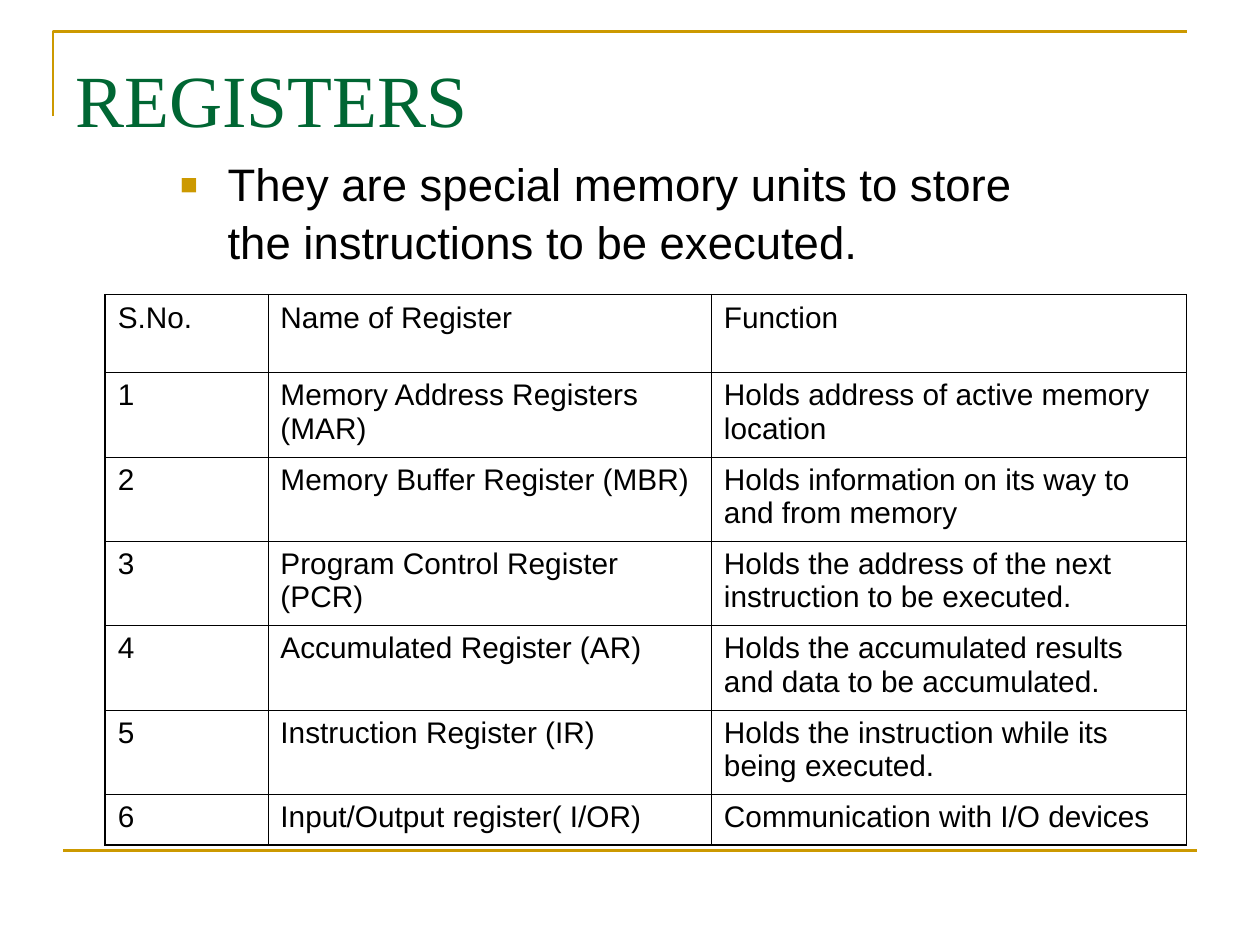
"""Build the slide about the special memory registers of a processor."""
from dataclasses import dataclass

from lxml import etree
from pptx import Presentation
from pptx import util as u
from pptx.dml.color import RGBColor
from pptx.enum import shapes, text
from pptx.oxml import ns

TITLE = "REGISTERS"
STATEMENT = "They are special memory units to store the instructions to be executed."
HEADINGS = ("S.No.", "Name of Register", "Function")
REGISTERS = [
    ("Memory Address Registers (MAR)", "Holds address of active memory location"),
    ("Memory Buffer Register (MBR)", "Holds information on its way to and from memory"),
    ("Program Control Register (PCR)", "Holds the address of the next instruction to be executed."),
    ("Accumulated Register (AR)", "Holds the accumulated results and data to be accumulated."),
    ("Instruction Register (IR)", "Holds the instruction while its being executed."),
    ("Input/Output register( I/OR)", "Communication with I/O devices"),
]
COLUMN_WIDTHS = (3.28, 8.94, 9.58)
ROW_HEIGHTS = (1.57, *[1.7] * 5, 1.02)
BRACKET = [(1.07, 2.34), (1.07, 0.64), (23.93, 0.64)]
FOOT_RULE = [(1.27, 17.15), (24.13, 17.15)]


@dataclass(frozen=True)
class Theme:
    """Colours, fonts and sizes of the slide."""
    ink: str = "000000"
    heading: str = "006633"
    accent: str = "CC9900"
    serif: str = "Times New Roman"
    sans: str = "Arial"
    title_size: float = 42
    body_size: float = 26
    cell_size: float = 17
    rule: float = 1.5
    outer_border: float = 1.08
    inner_border: float = 0.45


THEME = Theme()


def apply(target, formats):
    """Set every attribute named in formats on the target."""
    for name, value in formats.items():
        setattr(target, name, value)


def write(frame, words, font, size, colour, **para_formats):
    """Fill a text frame with one formatted paragraph and return it."""
    para = frame.paragraphs[0]
    apply(para, {"alignment": text.PP_ALIGN.LEFT, **para_formats})
    span = para.add_run()
    span.text = words
    apply(span.font, {"name": font, "size": u.Pt(size), "bold": False})
    span.font.color.rgb = RGBColor.from_string(colour)
    return para


def add_child(parent, tag, **attributes):
    """Append a drawing element and return it."""
    return etree.SubElement(parent, ns.qn(tag), attributes)


def add_box(page, place, margin_top):
    """Add a wrapping text box and return its frame."""
    frame = page.shapes.add_textbox(*map(u.Cm, place)).text_frame
    apply(frame, {
        "word_wrap": True,
        "auto_size": text.MSO_AUTO_SIZE.NONE,
        "vertical_anchor": text.MSO_ANCHOR.TOP,
        "margin_top": u.Cm(margin_top),
    })
    return frame


def style_rule(line):
    """Give a decorative rule its colour and width."""
    line.color.rgb = RGBColor.from_string(THEME.accent)
    line.width = u.Pt(THEME.rule)


def add_rules(page):
    """Draw the corner bracket and the foot rule."""
    corner, *rest = [tuple(map(u.Cm, point)) for point in BRACKET]
    builder = page.shapes.build_freeform(*corner)
    builder.add_line_segments(rest, close=False)
    bracket = builder.convert_to_shape()
    bracket.fill.background()
    bracket.shadow.inherit = False
    start, end = [tuple(map(u.Cm, point)) for point in FOOT_RULE]
    foot = page.shapes.add_connector(shapes.MSO_CONNECTOR.STRAIGHT, *start, *end)
    for rule in (bracket, foot):
        style_rule(rule.line)
    add_child(foot.element.spPr, "a:effectLst")


def add_bullet(para):
    """Give a paragraph a hanging square bullet."""
    props = para._p.get_or_add_pPr()
    indent = u.Cm(0.96)
    props.set("marL", str(indent))
    props.set("indent", str(-indent))
    colour = add_child(props, "a:buClr")
    add_child(colour, "a:srgbClr", val=THEME.accent)
    add_child(props, "a:buSzPct", val="65000")
    add_child(props, "a:buFont", typeface=THEME.sans)
    add_child(props, "a:buChar", char="■")


def add_borders(cell, outer_sides):
    """Draw the four cell borders, heavier on the outer sides."""
    props = cell._tc.get_or_add_tcPr()
    for side, outer in zip("LRTB", outer_sides):
        width = THEME.outer_border if outer else THEME.inner_border
        border = add_child(props, f"a:ln{side}", w=str(u.Pt(width)))
        fill = add_child(border, "a:solidFill")
        add_child(fill, "a:srgbClr", val=THEME.ink)


def add_register_table(page):
    """Add the ruled table of registers."""
    rows = [HEADINGS, *[(str(n), *entry) for n, entry in enumerate(REGISTERS, 1)]]
    place = (2.12, 5.94, sum(COLUMN_WIDTHS), sum(ROW_HEIGHTS))
    table = page.shapes.add_table(len(rows), len(HEADINGS), *map(u.Cm, place)).table
    apply(table, {"first_row": False, "horz_banding": False})
    for column, width in zip(table.columns, COLUMN_WIDTHS):
        column.width = u.Cm(width)
    for row, height in zip(table.rows, ROW_HEIGHTS):
        row.height = u.Cm(height)
    last_row, last_column = len(rows) - 1, len(HEADINGS) - 1
    for r, entries in enumerate(rows):
        for c, words in enumerate(entries):
            cell = table.cell(r, c)
            write(cell.text_frame, words, THEME.sans, THEME.cell_size, THEME.ink,
                  space_before=u.Pt(4.2))
            add_borders(cell, (c == 0, c == last_column, r == 0, r == last_row))
            cell.fill.background()


def main():
    """Assemble and save the deck."""
    deck = Presentation()
    apply(deck, {"slide_width": u.Cm(25.4), "slide_height": u.Cm(19.05)})
    page = deck.slides.add_slide(deck.slide_layouts[6])
    add_rules(page)
    title = add_box(page, (1.27, 0.76, 22.86, 3.18), margin_top=0.33)
    write(title, TITLE, THEME.serif, THEME.title_size, THEME.heading)
    body = add_box(page, (3.38, 2.97, 18.62, 2.97), margin_top=0.13)
    para = write(body, STATEMENT, THEME.sans, THEME.body_size, THEME.ink,
                 space_before=u.Pt(6.5), line_spacing=1.05)
    add_bullet(para)
    add_register_table(page)
    deck.save("out.pptx")


if __name__ == "__main__":
    main()
